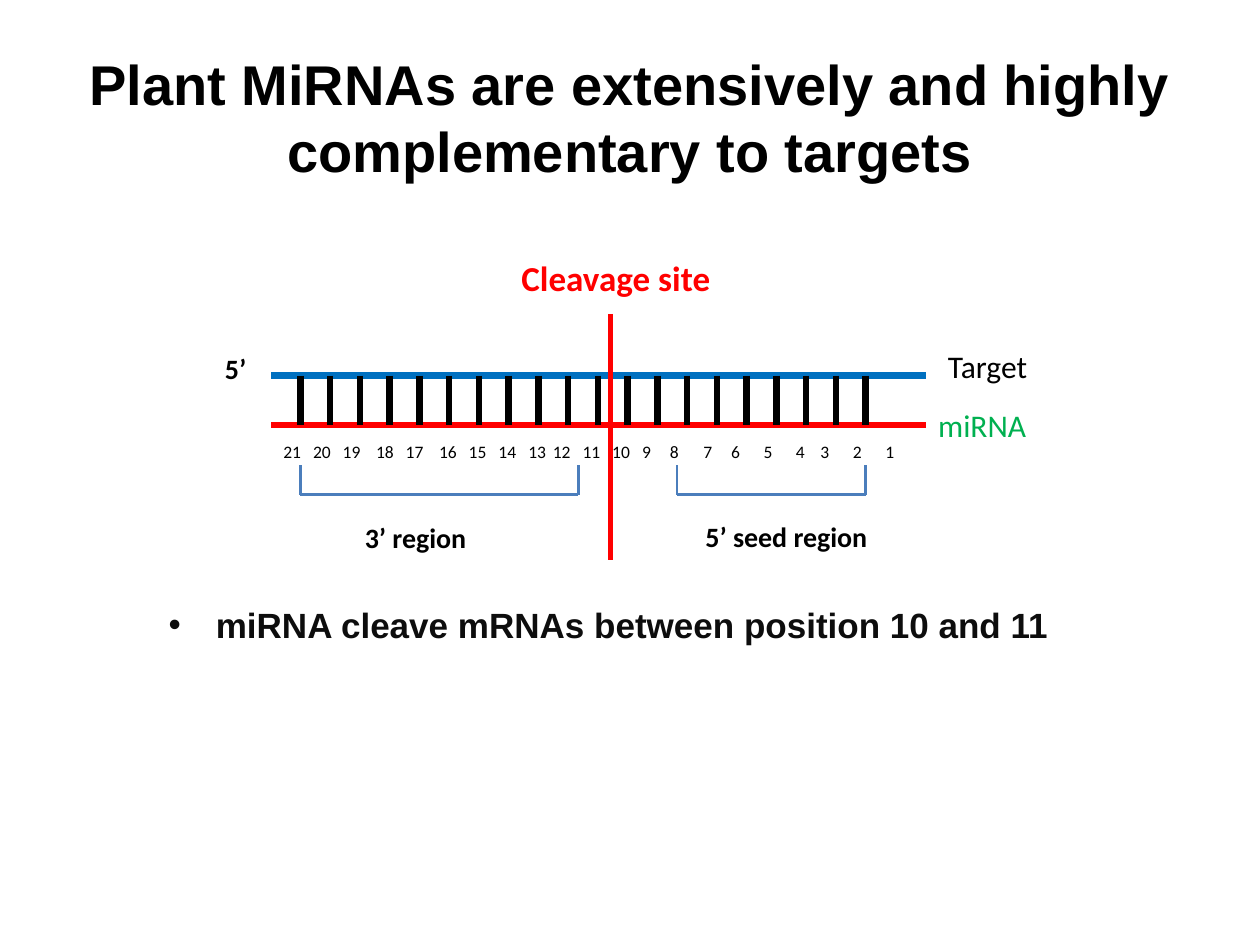
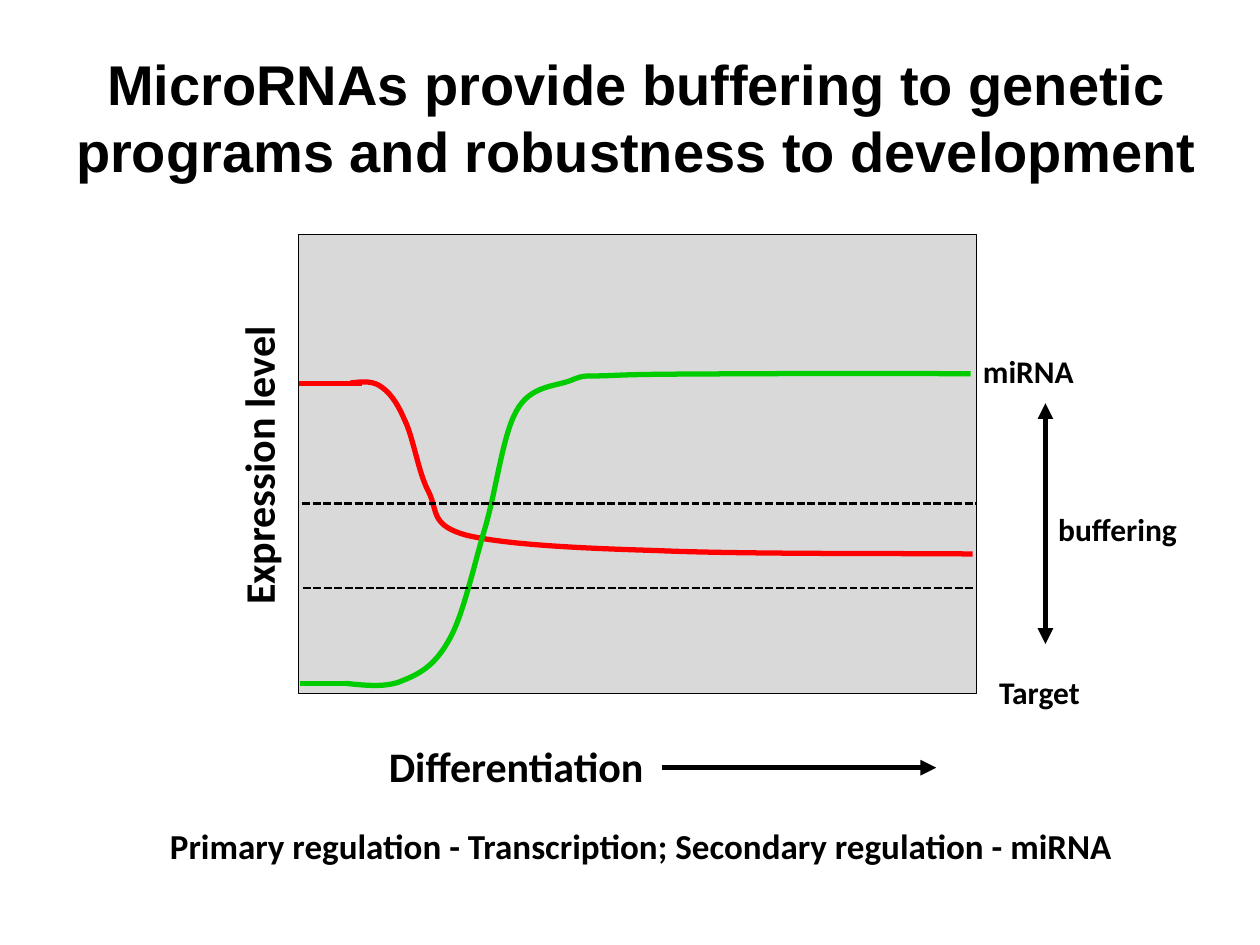
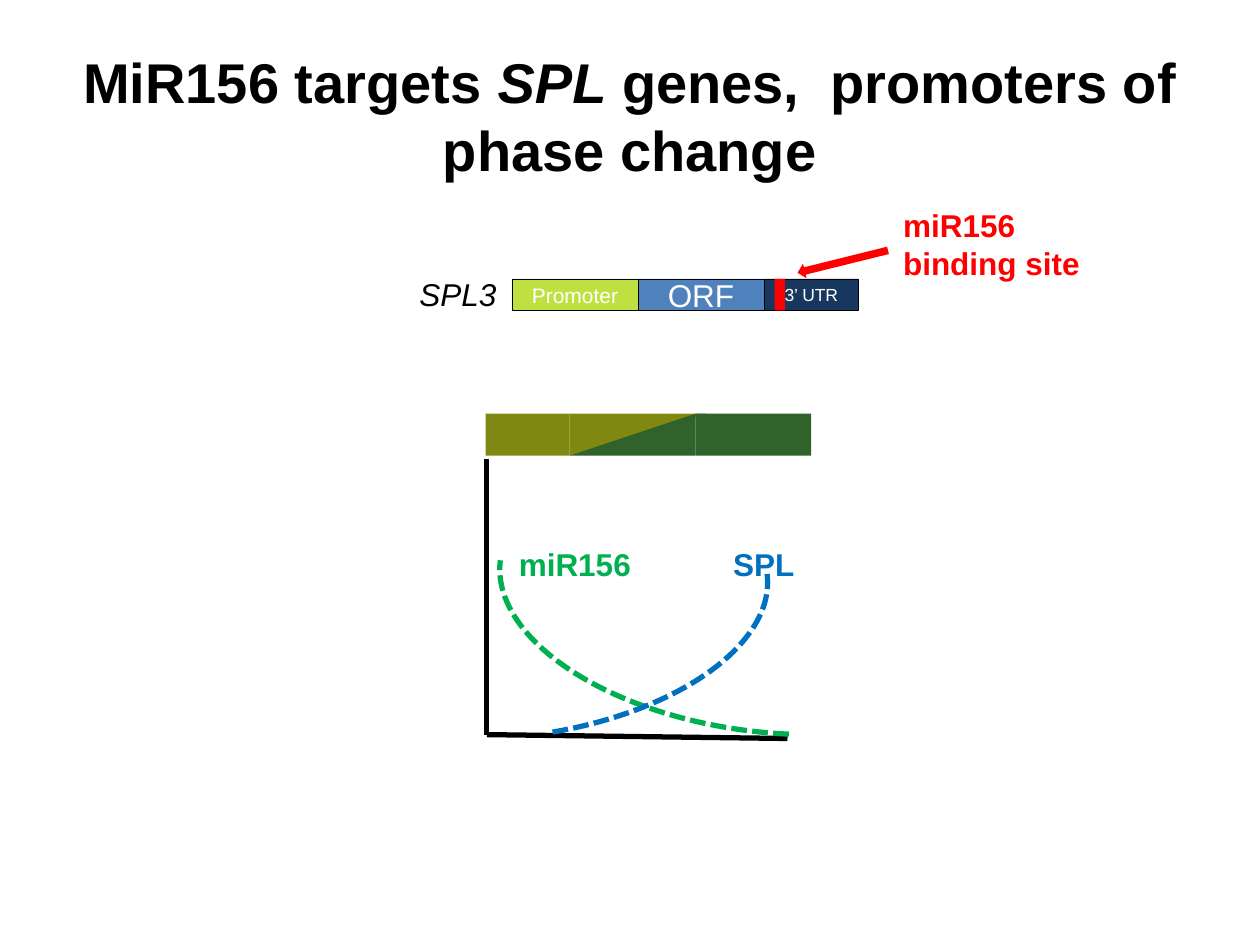
from lxml.etree import SubElement
from pptx import Presentation
from pptx.dml.color import RGBColor
from pptx.enum.dml import MSO_LINE
from pptx.enum.shapes import MSO_CONNECTOR, MSO_SHAPE
from pptx.enum.text import MSO_ANCHOR, MSO_AUTO_SIZE, PP_ALIGN
from pptx.oxml.ns import qn
from pptx.util import Pt

BLACK, WHITE, RED = "000000", "FFFFFF", "FF0000"
BLUE, GREEN, BRIGHT_GREEN = "0070C0", "00B050", "00CC00"
BRACKET_BLUE, GREY = "4B7EBC", "D9D9D9"
OLIVE, FOREST = "808812", "30622C"
CENTER, TOP, MIDDLE = PP_ALIGN.CENTER, MSO_ANCHOR.TOP, MSO_ANCHOR.MIDDLE
rgb = RGBColor.from_string


def write(box, text, size=18, color=BLACK, font="Calibri", bold=False,
          align=PP_ALIGN.LEFT, anchor=TOP, wrap=True, grow=False):
    """Fill a box with one paragraph; words between asterisks are italic."""
    frame = box.text_frame
    frame.word_wrap = wrap
    frame.vertical_anchor = anchor
    if grow:
        frame.auto_size = MSO_AUTO_SIZE.SHAPE_TO_FIT_TEXT
    para = frame.paragraphs[0]
    para.alignment = align
    for index, piece in enumerate(text.split("*")):
        if piece:
            span = para.add_run()
            span.text = piece
            span.font.name = font
            span.font.size = Pt(size)
            span.font.bold = bold
            span.font.italic = index % 2 == 1
            span.font.color.rgb = rgb(color)
    return para


def paint(item, fill=None, line=None, width=3, dashed=False, arrows=()):
    """Set fill, outline and arrowheads of a shape or connector, no shadow."""
    if fill:
        item.fill.solid()
        item.fill.fore_color.rgb = rgb(fill)
    elif hasattr(item, "fill"):
        item.fill.background()
    if line:
        item.line.color.rgb = rgb(line)
        item.line.width = Pt(width)
        if dashed:
            item.line.dash_style = MSO_LINE.SQUARE_DOT
        for end in arrows:
            SubElement(item.line._get_or_add_ln(), qn("a:" + end), type="triangle")
    else:
        item.line.fill.background()
    SubElement(item._element.spPr, qn("a:effectLst"))


deck = Presentation()
deck.slide_width, deck.slide_height = Pt(720), Pt(540)

# Pages with their titles
pages = []
for title, top, title_width, anchor in [
    ("Plant MiRNAs are extensively and highly complementary to targets", 21.6, 648, MIDDLE),
    ("MicroRNAs provide buffering to genetic programs and robustness to development",
     21.6, 655.8, MIDDLE),
    ("MiR156 targets *SPL* genes,  promoters of phase change", 23.8, 648, TOP),
]:
    page = deck.slides.add_slide(deck.slide_layouts[6])
    box = page.shapes.add_textbox(Pt(36), Pt(top), Pt(title_width), Pt(90))
    write(box, title, size=32, font="Arial", bold=True, align=CENTER, anchor=anchor)
    pages.append(page)
pairing_page, buffering_page, phase_page = pages

# Slide 1: strands, base pairs, region brackets and cleavage site
target_y, mirna_y = 214.7, 242.9
strokes = [(155, target_y, 529, target_y, BLUE, 3.75),
           (155, mirna_y, 529, mirna_y, RED, 3.75)]
for pair in range(20):
    x = 171.7 + 17 * pair
    strokes.append((x, target_y, x, mirna_y, BLACK, 3.75))
for left, right in [(171.7, 330.5), (386.9, 494.7)]:
    strokes.append((left, 282.7, right, 282.7, BRACKET_BLUE, 1.5))
    for x in (left, right):
        strokes.append((x, 282.7, x, 266, BRACKET_BLUE, 1.5))
strokes.append((348.7, 179.3, 348.7, 320, RED, 3))
for *ends, color, width in strokes:
    paint(pairing_page.shapes.add_connector(MSO_CONNECTOR.STRAIGHT, *map(Pt, ends)),
          line=color, width=width)

# Slide 1: labels
for text, left, top, width, height, size, color, bold in [
    ("5’ seed region", 396, 293.5, 118.8, 26.6, 16, BLACK, True),
    ("3’ region", 201.4, 293.8, 118.8, 26.6, 16, BLACK, True),
    ("Cleavage site", 290.9, 143.3, 141.1, 31.7, 20, RED, True),
    ("miRNA", 529, 228.6, 102.2, 28.8, 18, GREEN, False),
    ("Target", 534.6, 194.8, 102.2, 28.8, 18, BLACK, False),
    ("5’", 121.5, 197.3, 40.3, 26.6, 16, BLACK, True),
]:
    box = pairing_page.shapes.add_textbox(Pt(left), Pt(top), Pt(width), Pt(height))
    write(box, text, size=size, color=color, bold=bold, grow=True)

# Slide 1: nucleotide positions, one tab stop for each number after the first
stops = [17, 34, 53, 70, 89, 106, 123, 140, 154, 171,
         188, 205, 221, 240, 256, 274.5, 293, 307, 325.5, 344]
box = pairing_page.shapes.add_textbox(Pt(154.8), Pt(248.4), Pt(374.4), Pt(19.4))
para = write(box, "\t".join(str(number) for number in range(21, 0, -1)), size=10, grow=True)
tabs = SubElement(para._p.get_or_add_pPr(), qn("a:tabLst"))
for stop in stops:
    SubElement(tabs, qn("a:tab"), pos=str(Pt(stop)), algn="l")

# Slide 1: bullet
box = pairing_page.shapes.add_textbox(Pt(23.8), Pt(335), Pt(648), Pt(44))
para = write(box, "miRNA cleave mRNAs between position 10 and 11", size=20,
             color="0D0D0D", font="Arial", bold=True, align=CENTER, anchor=MIDDLE)
layout = para._p.get_or_add_pPr()
layout.set("marL", str(Pt(27)))
layout.set("indent", str(Pt(-27)))
SubElement(layout, qn("a:buFont"), typeface="Arial")
SubElement(layout, qn("a:buChar"), char="•")

# Slide 2: axis label
axis_label = buffering_page.shapes.add_textbox(Pt(129.6), Pt(156.2), Pt(43.2), Pt(196.6))
write(axis_label, "Expression level", size=24, bold=True)
axis_label.text_frame._txBody.bodyPr.set("vert", "vert270")

# Slide 2: plot area
plot = buffering_page.shapes.add_shape(
    MSO_SHAPE.RECTANGLE, Pt(170.6), Pt(133.9), Pt(387.6), Pt(262.3))
paint(plot, fill=GREY, line=BLACK, width=0.75)

# Slide 2: expression curves, a start point and then cubic Bézier segments
target_curve = [
    (200.2, 218.9),
    (205.9, 218.2), (211.7, 217.4), (216.7, 220.3),
    (222.5, 223.9), (226.8, 229.7), (231.1, 239.8),
    (236.2, 249.8), (239, 270), (244.8, 280.8),
    (250.6, 292.3), (245.5, 300.2), (267.1, 306),
    (288.7, 311), (326.9, 313.2), (375.1, 314.6),
    (423.4, 316.8), (525.6, 316.1), (555.8, 316.6),
]
mirna_curve = [
    (197.3, 390.5),
    (208.8, 391.7), (221, 393.1), (230.4, 388.8),
    (241.2, 384.5), (249.1, 379.4), (257, 365),
    (265, 350.6), (270.7, 323.3), (277.2, 301.7),
    (283.7, 279.4), (287.3, 248.4), (295.2, 234.7),
    (303.1, 220.3), (316.8, 221), (326.2, 217.4),
    (334.8, 213.8), (333.4, 215.3), (349.2, 214.6),
    (365, 213.8), (385.9, 213.8), (420.5, 213.6),
    (455, 213.4), (532.8, 213.4), (554.6, 213.6),
]
for knots, color in [(target_curve, RED), (mirna_curve, BRIGHT_GREEN)]:
    outline = buffering_page.shapes.build_freeform(*map(Pt, knots[0]))
    outline.add_line_segments([tuple(map(Pt, knot)) for knot in knots[1:]], close=False)
    curve = outline.convert_to_shape()
    for index, corner in enumerate(list(curve._element.iter(qn("a:lnTo")))):
        if index % 3 == 0:
            bend = SubElement(corner.getparent(), qn("a:cubicBezTo"))
        bend.append(corner[0])
        corner.getparent().remove(corner)
    paint(curve, line=color)

# Slide 2: curve starts, arrows and thresholds
for ends, style in [
    ((170.6, 219, 206.6, 219), {"line": RED}),
    ((171.4, 390.7, 200.2, 390.7), {"line": BRIGHT_GREEN}),
    ((378, 438.7, 535, 438.7), {"line": BLACK, "arrows": ["tailEnd"]}),
    ((597.4, 230.4, 597.4, 368), {"line": BLACK, "arrows": ["headEnd", "tailEnd"]}),
    ((172.8, 287.7, 557.5, 287.7), {"line": BLACK, "width": 1.5, "dashed": True}),
    ((173, 336, 557.5, 336), {"line": BLACK, "width": 1.5, "dashed": True}),
]:
    paint(buffering_page.shapes.add_connector(MSO_CONNECTOR.STRAIGHT, *map(Pt, ends)), **style)

# Slide 2: labels
for text, left, top, width, height, size in [
    ("Differentiation", 215.1, 419.8, 177.1, 36, 24),
    ("miRNA", 554.6, 197.6, 67, 28.8, 18),
    ("Target", 563.8, 380.9, 69.8, 28.8, 18),
    ("buffering", 597.6, 288, 92.2, 28.8, 18),
    ("Primary regulation - Transcription; Secondary regulation - miRNA",
     90, 467.6, 637.2, 31, 20),
]:
    box = buffering_page.shapes.add_textbox(Pt(left), Pt(top), Pt(width), Pt(height))
    write(box, text, size=size, bold=True, wrap=False, grow=True)

# Slide 3: axes
for ends in [(278.2, 262.3, 278.2, 419.8), (278.2, 419.8, 450, 422)]:
    paint(phase_page.shapes.add_connector(MSO_CONNECTOR.STRAIGHT, *map(Pt, ends)), line=BLACK)

# Slide 3: opposing expression arcs
for place, turn, start, flipped, color in [
    ((284.7, 260.4, 304.6, 157.7), 187.2, 151.84, False, GREEN),
    ((150.1, 271.6, 289.4, 149), 172.8, 167.38, True, BLUE),
]:
    arc = phase_page.shapes.add_shape(MSO_SHAPE.ARC, *map(Pt, place))
    arc.adjustments[0], arc.adjustments[1] = start, 0
    arc.rotation = turn
    if flipped:
        arc._element.spPr.xfrm.set("flipH", "1")
    paint(arc, line=color, dashed=True)

# Slide 3: gene parts
for text, left, width, fill, size in [
    ("ORF", 364.6, 72, "4F81BD", 18),
    ("3’ UTR", 436.6, 54, "17375E", 10),
    ("Promoter", 292.6, 72, "BEE040", 12),
]:
    part = phase_page.shapes.add_shape(
        MSO_SHAPE.RECTANGLE, Pt(left), Pt(159.4), Pt(width), Pt(18))
    paint(part, fill=fill, line=BLACK, width=0.25)
    write(part, text, size=size, color=WHITE, font="Arial", align=CENTER, anchor=MIDDLE)

# Slide 3: binding site, its arrow, and the phase change band
for kind, place, fill, flip, turn in [
    (MSO_SHAPE.RECTANGLE, (442.6, 159.4, 6, 18), RED, None, 0),
    (MSO_SHAPE.RIGHT_ARROW, (455, 145.2, 53.3, 8.6), RED, "flipH", 346.1),
    (MSO_SHAPE.RIGHT_TRIANGLE, (325.5, 236.4, 77.8, 24), OLIVE, "flipV", 0),
    (MSO_SHAPE.RECTANGLE, (277.5, 236.4, 48, 24), OLIVE, None, 0),
    (MSO_SHAPE.RIGHT_TRIANGLE, (325.5, 236.4, 72, 24), FOREST, "flipH", 0),
    (MSO_SHAPE.RECTANGLE, (397.5, 236.4, 66, 24), FOREST, None, 0),
]:
    shape = phase_page.shapes.add_shape(kind, *map(Pt, place))
    shape.rotation = turn
    if flip:
        shape._element.spPr.xfrm.set(flip, "1")
    paint(shape, fill=fill)

# Slide 3: labels
for text, left, top, width, height, color, bold, wrap in [
    ("miR156 binding site", 509, 114.1, 126.7, 51, RED, True, True),
    ("miR156", 289.4, 307.9, 79.2, 28.8, GREEN, True, False),
    ("SPL", 411.8, 307.9, 49.7, 28.8, BLUE, True, False),
    ("*SPL3*", 232.6, 153.4, 59, 28.8, BLACK, False, False),
]:
    box = phase_page.shapes.add_textbox(Pt(left), Pt(top), Pt(width), Pt(height))
    write(box, text, color=color, font="Arial", bold=bold, wrap=wrap, grow=True)

deck.save("out.pptx")
